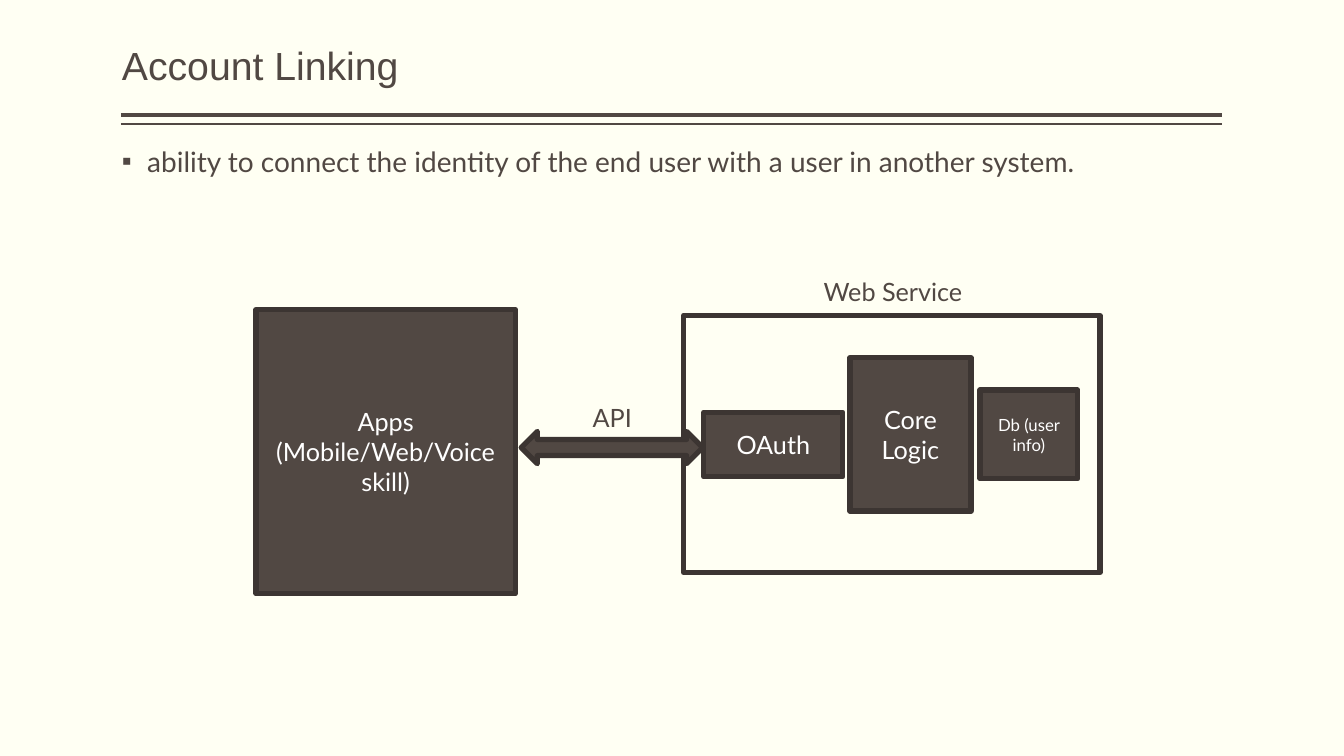
from lxml import etree
from pptx import Presentation
from pptx.dml.color import RGBColor
from pptx.enum.shapes import MSO_CONNECTOR, MSO_SHAPE
from pptx.enum.text import MSO_ANCHOR, MSO_AUTO_SIZE, PP_ALIGN
from pptx.oxml.ns import qn
from pptx.util import Inches, Pt

BACKGROUND = RGBColor(0xFF, 0xFF, 0xF3)
BROWN = RGBColor(0x51, 0x48, 0x43)
OUTLINE = RGBColor(0x3C, 0x35, 0x32)
WHITE = RGBColor(0xFF, 0xFF, 0xFF)


def add_text(paragraph, text, size, color=BROWN, font="Lato"):
    run = paragraph.add_run()
    run.text = text
    run.font.size = Pt(size)
    run.font.name = font
    run.font.color.rgb = color


def place(shape, left, top, width, height):
    shape.left, shape.top = Inches(left), Inches(top)
    shape.width, shape.height = Inches(width), Inches(height)


def prepare_placeholder(placeholder, anchor):
    """Set the frame as the template does and return its first paragraph."""
    frame = placeholder.text_frame
    frame.auto_size = MSO_AUTO_SIZE.NONE
    frame.word_wrap = True
    frame.vertical_anchor = anchor
    frame.margin_left = frame.margin_right = 0
    frame.margin_top = frame.margin_bottom = Inches(0.05)
    paragraph = frame.paragraphs[0]
    paragraph.alignment = PP_ALIGN.LEFT
    paragraph.space_before = Pt(0)
    return paragraph


def add_title(slide, text):
    place(slide.shapes.title, 1.21, 0, 10.92, 0.93)
    paragraph = prepare_placeholder(slide.shapes.title, MSO_ANCHOR.BOTTOM)
    paragraph.line_spacing = 0.9
    add_text(paragraph, text, 28, font="Arial")


def add_bullet(slide, text):
    body = slide.placeholders[1]
    place(body, 1.21, 1.38, 10.92, 5.38)
    paragraph = prepare_placeholder(body, MSO_ANCHOR.TOP)
    properties = paragraph._p.get_or_add_pPr()
    properties.set("marL", str(Inches(0.25)))
    properties.set("indent", str(Inches(-0.25)))
    etree.SubElement(properties, qn("a:buFont")).set("typeface", "Arial")
    etree.SubElement(properties, qn("a:buChar")).set("char", "▪")
    add_text(paragraph, text, 20)


def add_rule(slide, top, weight):
    rule = slide.shapes.add_connector(
        MSO_CONNECTOR.STRAIGHT, Inches(1.2), Inches(top), Inches(12.12), Inches(top))
    rule.line.color.rgb = BROWN
    rule.line.width = Pt(weight)
    etree.SubElement(rule._element.spPr, qn("a:effectLst"))


def add_block(slide, left, top, width, height, text="", size=18,
              kind=MSO_SHAPE.RECTANGLE, filled=True):
    shape = slide.shapes.add_shape(
        kind, Inches(left), Inches(top), Inches(width), Inches(height))
    shape.shadow.inherit = False
    if filled:
        shape.fill.solid()
        shape.fill.fore_color.rgb = BROWN
    else:
        shape.fill.background()
    shape.line.color.rgb = OUTLINE
    shape.line.width = Pt(3.78)
    etree.SubElement(shape.line._get_or_add_ln(), qn("a:round"))
    if text:
        frame = shape.text_frame
        frame.word_wrap = True
        frame.vertical_anchor = MSO_ANCHOR.MIDDLE
        frame.paragraphs[0].alignment = PP_ALIGN.CENTER
        add_text(frame.paragraphs[0], text, size, WHITE)


def add_label(slide, left, top, width, text):
    label = slide.shapes.add_textbox(
        Inches(left), Inches(top), Inches(width), Inches(0.4))
    label.text_frame.word_wrap = True
    label.text_frame.auto_size = MSO_AUTO_SIZE.SHAPE_TO_FIT_TEXT
    add_text(label.text_frame.paragraphs[0], text, 18)


def main():
    presentation = Presentation()
    presentation.slide_width = Inches(13.33)
    presentation.slide_height = Inches(7.5)
    slide = presentation.slides.add_slide(presentation.slide_layouts[1])
    slide.background.fill.solid()
    slide.background.fill.fore_color.rgb = BACKGROUND

    add_rule(slide, 1.14, 3)
    add_rule(slide, 1.23, 1)
    add_title(slide, "Account Linking")
    add_bullet(slide, "ability to connect the identity of the end user "
                      "with a user in another system.")

    add_block(slide, 6.78, 3.13, 4.13, 2.55, filled=False)
    add_label(slide, 8.07, 2.69, 1.94, "Web Service")
    add_block(slide, 6.98, 4.09, 1.38, 0.64, "OAuth")
    add_block(slide, 8.43, 3.55, 1.2, 1.52, "Core Logic")
    add_block(slide, 9.72, 3.87, 0.97, 0.88, "Db (user info)", size=12)
    add_block(slide, 5.17, 4.28, 1.8, 0.32, kind=MSO_SHAPE.LEFT_RIGHT_ARROW)
    add_label(slide, 5.78, 3.94, 0.91, "API")
    add_block(slide, 2.54, 3.07, 2.57, 2.82, "Apps (Mobile/Web/Voice skill)")

    presentation.save("out.pptx")


if __name__ == "__main__":
    main()
